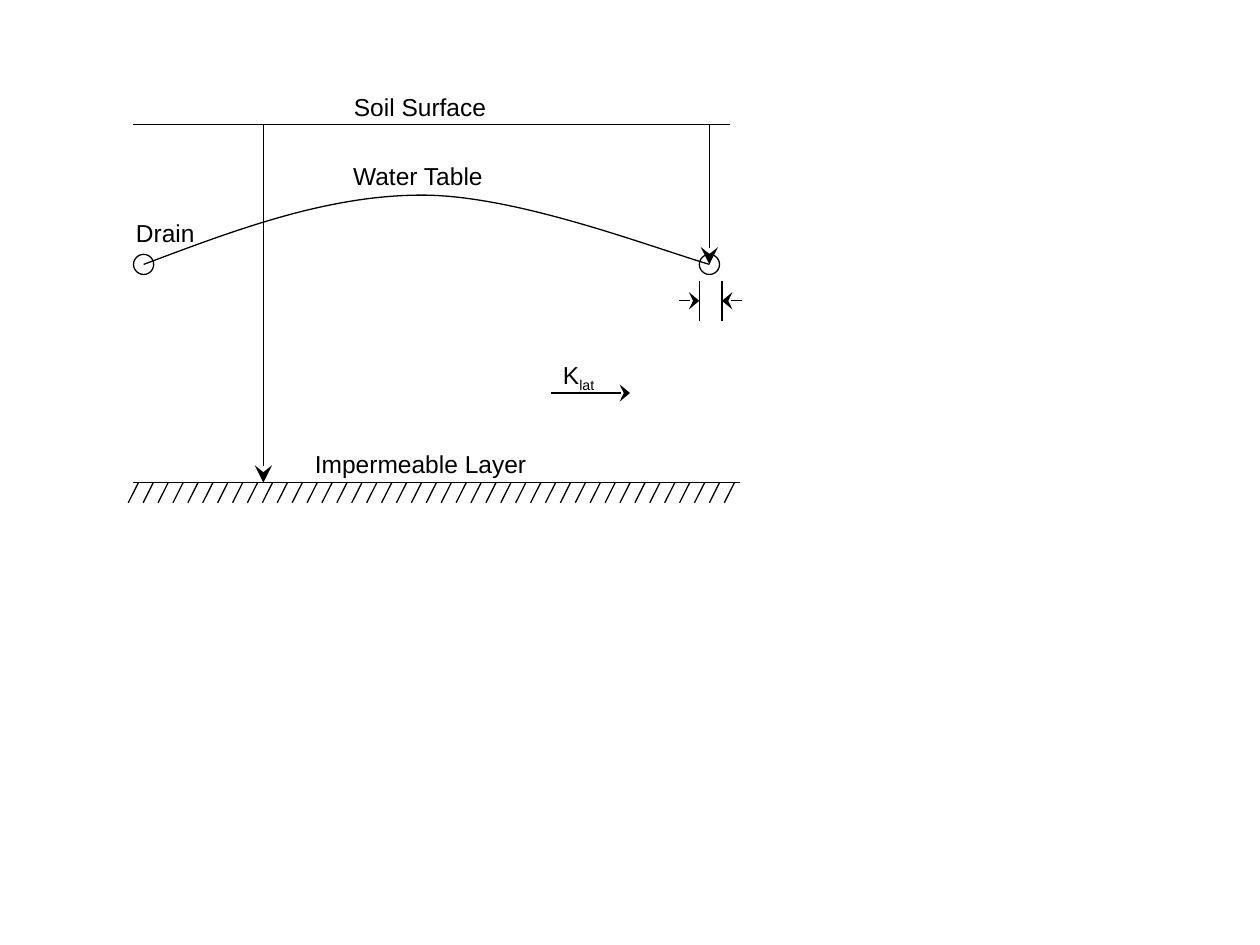
from lxml import etree
from pptx import Presentation
from pptx.dml.color import RGBColor
from pptx.enum import shapes as sh, text as tx
from pptx.oxml import ns
from pptx.util import Pt

INK = {"line": "000000", "text": "000000"}
DRAIN = 11.5


def pen(line):
    line.color.rgb = RGBColor.from_string(INK["line"])
    line.width = Pt(0.75)


def rule(slide, x1, y1, x2, y2, head=None):
    line = slide.shapes.add_connector(
        sh.MSO_CONNECTOR.STRAIGHT, Pt(x1), Pt(y1), Pt(x2), Pt(y2))
    pen(line.line)
    props = line._element.spPr
    if head:
        tail = etree.SubElement(props.find(ns.qn("a:ln")), ns.qn("a:tailEnd"))
        tail.set("type", "stealth")
        tail.set("w", "lg")
        tail.set("len", head)
    etree.SubElement(props, ns.qn("a:effectLst"))


def label(slide, x, y, w, h, words, sub="", wrap=False):
    box = slide.shapes.add_textbox(Pt(x), Pt(y), Pt(w), Pt(h))
    frame = box.text_frame
    frame.word_wrap = wrap
    frame.auto_size = tx.MSO_AUTO_SIZE.SHAPE_TO_FIT_TEXT
    para = frame.paragraphs[0]
    for part, base in ((words, 0), (sub, -25000)):
        if not part:
            continue
        run = para.add_run()
        run.text = part
        run.font.size = Pt(14)
        run.font.name = "Arial"
        run.font.color.rgb = RGBColor.from_string(INK["text"])
        if base:
            run._r.get_or_add_rPr().set("baseline", str(base))


def curve(slide, points):
    start, *rest = [(Pt(x), Pt(y)) for x, y in points]
    form = slide.shapes.build_freeform(*start)
    form.add_line_segments(rest, close=False)
    shape = form.convert_to_shape()
    shape.shadow.inherit = False
    shape.fill.background()
    pen(shape.line)
    lines = list(shape._element.iter(ns.qn("a:lnTo")))
    for i in range(0, len(lines), 3):
        bend = etree.Element(ns.qn("a:cubicBezTo"))
        lines[i].addprevious(bend)
        for line in lines[i:i + 3]:
            bend.append(line[0])
            line.getparent().remove(line)


def soil(slide, x, y, w, h):
    rule(slide, x, y, x + w, y)
    rule(slide, x + 74.2, y, x + 74.2, y + h, "lg")
    label(slide, x + 118.8, y - 22.3, 90, 24.5, "Soil Surface")


def water(slide, x, y, w, h, top):
    for mid in (x, x + w):
        ring = slide.shapes.add_shape(
            sh.MSO_SHAPE.OVAL, Pt(mid - DRAIN / 2), Pt(y + h - DRAIN / 2),
            Pt(DRAIN), Pt(DRAIN))
        ring.shadow.inherit = False
        ring.fill.background()
        pen(ring.line)
    curve(slide, [(x, y + h), (x + 52.5, y + h / 2), (x + 105, y),
                  (x + 159, y), (x + 212.4, y), (x + 287.3, y + 28.8),
                  (x + w, y + h)])
    rule(slide, x + w, top, x + w, y + h, "lg")
    label(slide, x + 112.6, y - 23, 90.7, 24.5, "Water Table")
    label(slide, x - 11.5, y + 9.8, 52, 24.5, "Drain")


def gauge(slide, x, y, w, h):
    mid = y + h / 2
    for side, out in ((x, -DRAIN), (x + w, DRAIN)):
        rule(slide, side + out, mid, side, mid, "med")
        rule(slide, side, y, side, y + h)


def base(slide, x, y, w, h):
    count = 41
    gap = (w - 5.7) / (count - 1)
    rule(slide, x, y, x + w, y)
    for i in range(count):
        top = x + 2.8 + i * gap
        rule(slide, top, y, top - 5.8, y + h)
    label(slide, x + 96.5, y - 23, 135.4, 24.5, "Impermeable Layer")


def flow(slide, x, y, w, h):
    rule(slide, x, y + h, x + w, y + h, "med")
    label(slide, x, y, 39.6, 26.6, "K", "lat", True)


def main():
    deck = Presentation()
    deck.slide_width, deck.slide_height = Pt(720), Pt(540)
    slide = deck.slides.add_slide(deck.slide_layouts[6])
    soil(slide, 76.3, 71.3, 340.6, 204.5)
    water(slide, 82.1, 111.5, 323.3, 39.6, 71.3)
    gauge(slide, 399.6, 160.6, 13, 22.6)
    base(slide, 76.3, 275.8, 346.3, 11.5)
    flow(slide, 314.6, 202.3, 45.4, 22.3)
    deck.save("out.pptx")


if __name__ == "__main__":
    main()
